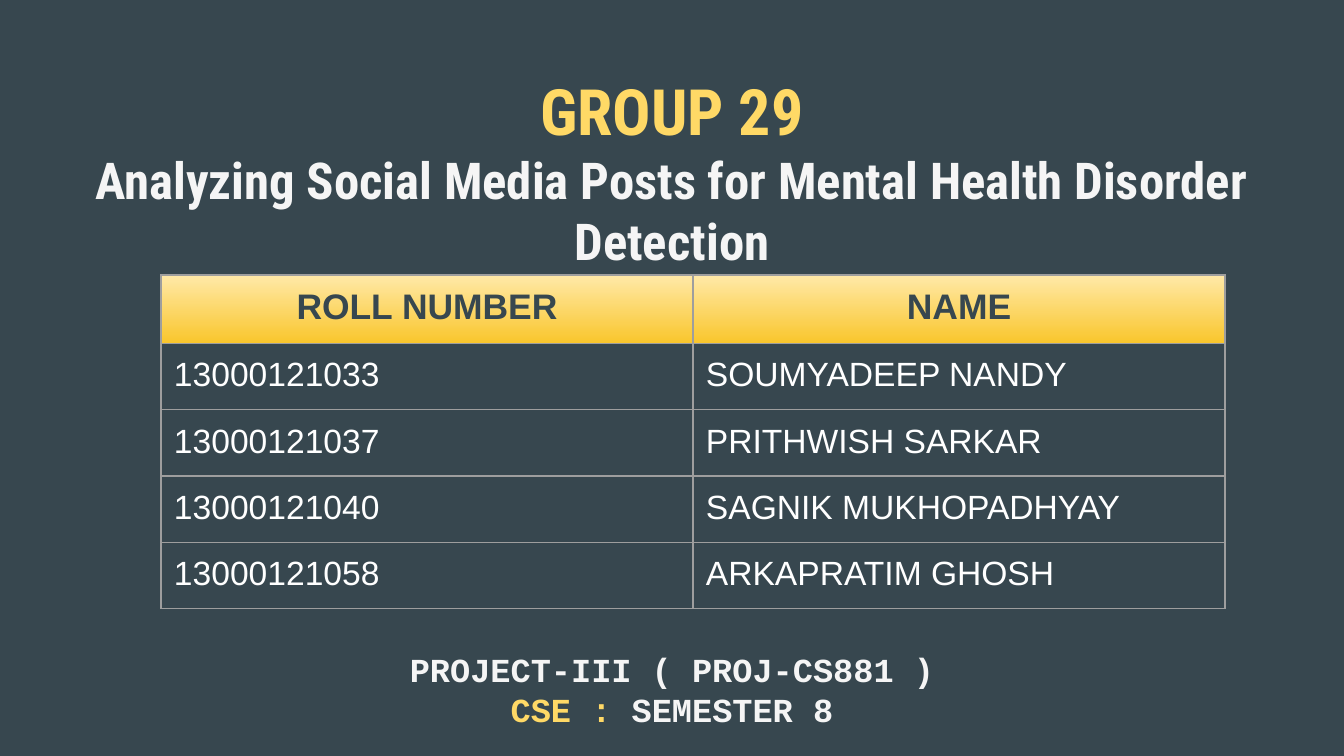
from lxml import etree
from pptx import Presentation
from pptx.dml.color import RGBColor
from pptx.enum.text import MSO_ANCHOR, PP_ALIGN
from pptx.oxml.ns import qn
from pptx.util import Pt

CENTER, LEFT = PP_ALIGN.CENTER, PP_ALIGN.LEFT
TOP = MSO_ANCHOR.TOP

PX = 914400 / 134.4
SLIDE_SIZE = (1344, 756)
INSET = 13

SLATE, GOLD, PALE, WHITE, GRID = "37474F", "FFD966", "F5F5F5", "FFFFFF", "9E9E9E"
HEADER_GRADIENT = ("FFE9A8", "F9C62C")
TITLE_FONT, TABLE_FONT, COURSE_FONT = "Roboto Condensed", "Arial", "Courier New"

# Each paragraph is a list of runs: (wording, size, colour)
TITLE = [
    [("GROUP 29", 34.2, GOLD)],
    [("Analyzing Social Media Posts for Mental Health Disorder Detection", 27.2, PALE)],
]
COURSE = [
    [("PROJECT-III ( PROJ-CS881 )", 18, PALE)],
    [("CSE : ", 18, GOLD), ("SEMESTER 8", 18, PALE)],
]
MEMBERS = [
    ("ROLL NUMBER", "NAME"),
    ("13000121033", "SOUMYADEEP NANDY"),
    ("13000121037", "PRITHWISH SARKAR"),
    ("13000121040", "SAGNIK MUKHOPADHYAY"),
    ("13000121058", "ARKAPRATIM GHOSH"),
]

TITLE_BOX = (46, 59, 1252, 85)
COURSE_BOX = (31, 636, 1282, 109)
TABLE_LEFT, TABLE_TOP, COLUMN_WIDTH, ROW_HEIGHT = 161, 275, 532, 56


def px(length):
    return round(length * PX)


def rgb(colour):
    return RGBColor.from_string(colour)


def add_run(paragraph, wording, font, size, colour, bold):
    run = paragraph.add_run()
    run.text = wording
    run.font.name = font
    run.font.size = Pt(size)
    run.font.bold = bold
    run.font.color.rgb = rgb(colour)


def set_insets(holder):
    """Give a text frame or table cell the same margin on all sides."""
    holder.margin_left = holder.margin_right = px(INSET)
    holder.margin_top = holder.margin_bottom = px(INSET)


def add_heading(slide, box, paragraphs, font):
    frame = slide.shapes.add_textbox(*map(px, box)).text_frame
    frame.word_wrap = True
    frame.vertical_anchor = TOP
    set_insets(frame)
    for index, runs in enumerate(paragraphs):
        paragraph = frame.add_paragraph() if index else frame.paragraphs[0]
        paragraph.alignment = CENTER
        for wording, size, colour in runs:
            add_run(paragraph, wording, font, size, colour, True)


def add_borders(cell):
    properties = cell._tc.get_or_add_tcPr()
    for index, side in enumerate(("a:lnL", "a:lnR", "a:lnT", "a:lnB")):
        line = etree.Element(qn(side), w=str(Pt(0.75)))
        fill = etree.SubElement(line, qn("a:solidFill"))
        etree.SubElement(fill, qn("a:srgbClr"), val=GRID)
        properties.insert(index, line)


def fill_header(cell):
    cell.fill.gradient()
    cell.fill.gradient_angle = 270
    for stop, colour in zip(cell.fill.gradient_stops, HEADER_GRADIENT):
        stop.color.rgb = rgb(colour)


def add_members(slide):
    rows, columns = len(MEMBERS), len(MEMBERS[0])
    table = slide.shapes.add_table(
        rows, columns, px(TABLE_LEFT), px(TABLE_TOP),
        px(COLUMN_WIDTH * columns), px(ROW_HEIGHT * rows)).table
    for row, member in enumerate(MEMBERS):
        header = row == 0
        for column, wording in enumerate(member):
            cell = table.cell(row, column)
            set_insets(cell)
            paragraph = cell.text_frame.paragraphs[0]
            paragraph.alignment = CENTER if header else LEFT
            add_run(paragraph, wording, TABLE_FONT, 19 if header else 18,
                    SLATE if header else WHITE, header)
            if header:
                fill_header(cell)
            else:
                cell.fill.background()
            add_borders(cell)


def main():
    presentation = Presentation()
    presentation.slide_width, presentation.slide_height = map(px, SLIDE_SIZE)
    slide = presentation.slides.add_slide(presentation.slide_layouts[6])
    slide.background.fill.solid()
    slide.background.fill.fore_color.rgb = rgb(SLATE)
    add_heading(slide, TITLE_BOX, TITLE, TITLE_FONT)
    add_members(slide)
    add_heading(slide, COURSE_BOX, COURSE, COURSE_FONT)
    presentation.save("out.pptx")


if __name__ == "__main__":
    main()
